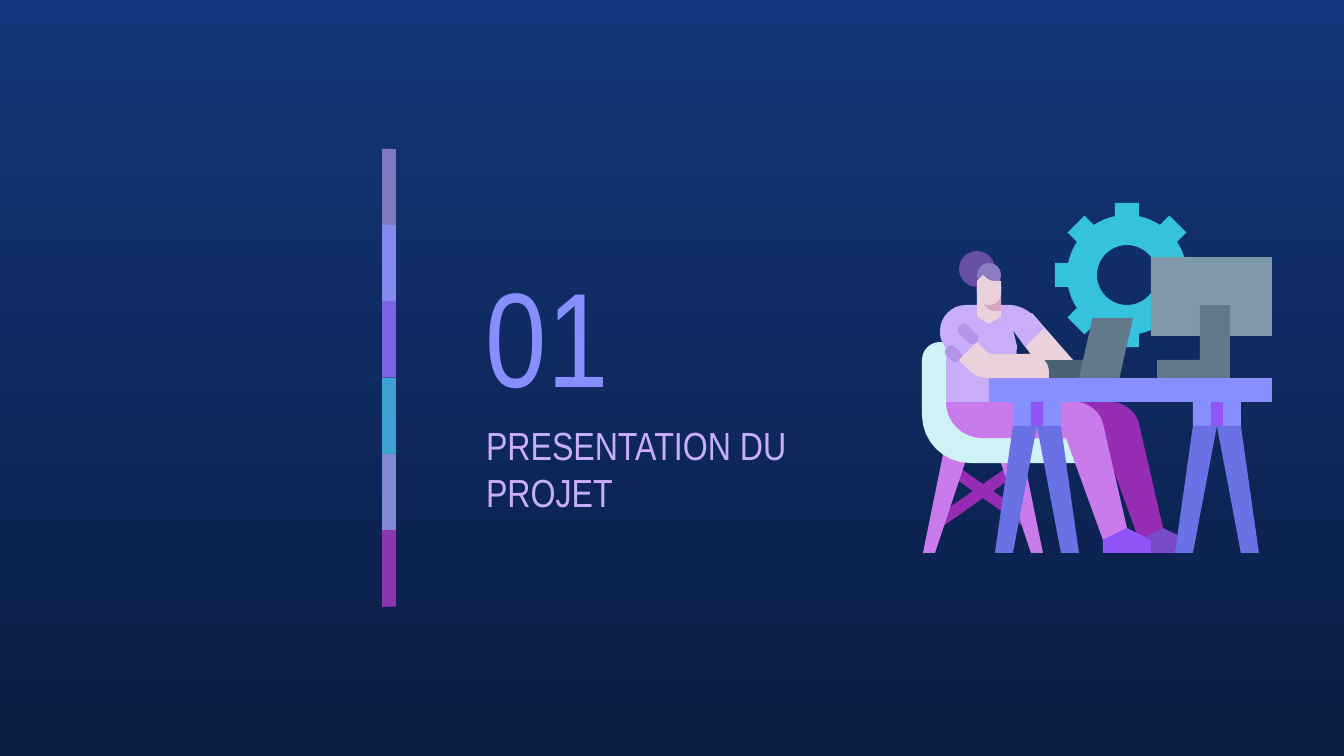
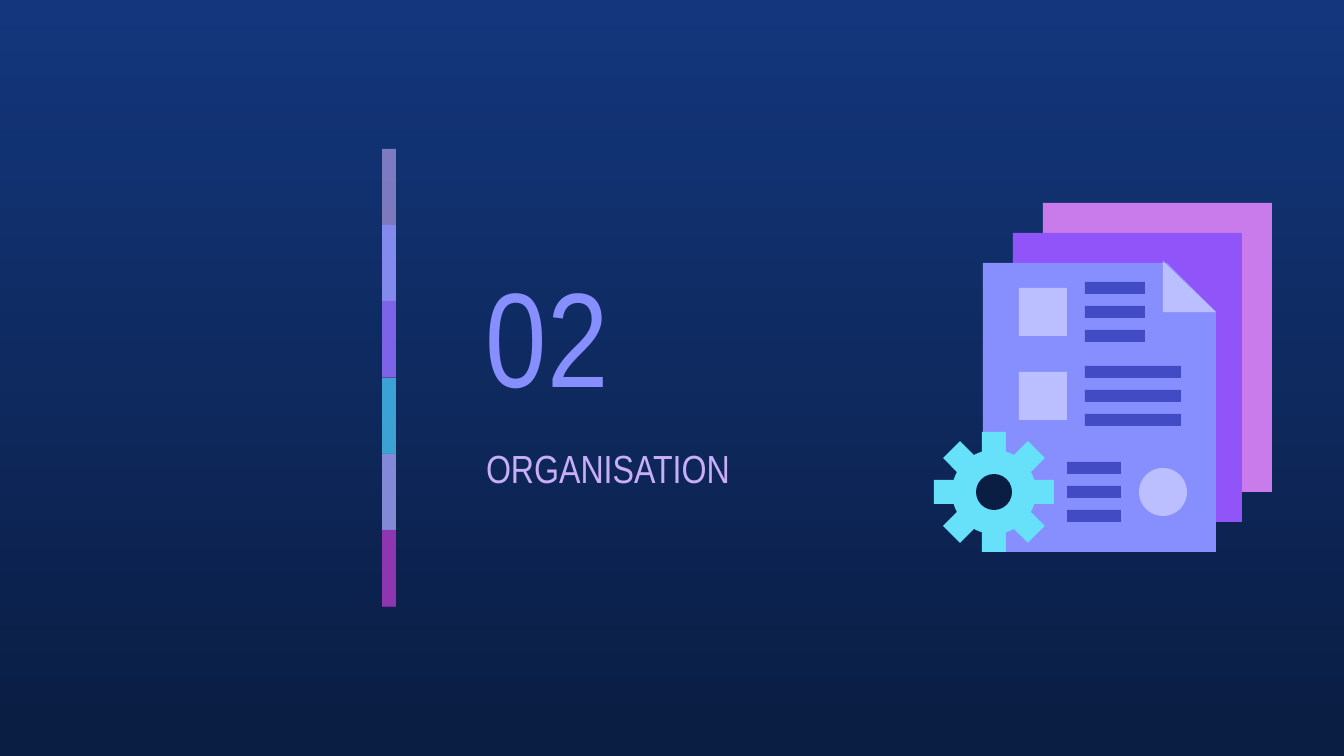
"""Build two section slides with a shared colour bar, number and title style."""
import math
import pptx
import pptx.util
import pptx.dml.color
import pptx.enum.shapes
import pptx.enum.text
import pptx.oxml.ns
import lxml.etree

UNIT = 12192000 / 1344
COLORS = {
    "top": "13367C", "night": "0A1D42", "lilac": "C8AEF8", "blue": "878FFF",
    "violet": "9154F8", "teal": "35C2DF", "pink": "CA7BEB", "plum": "972CB4",
    "aqua": "67E0F9", "pale": "BBBFFF", "ink": "424BC4", "indigo": "6971E5",
    "mint": "CEF3F5", "skin": "EAD1DC", "shade": "D5A6BD", "sleeve": "B394EB",
    "bun": "674EA7", "hair": "8E7CC3", "shoe": "794BC8", "steel": "62798C",
    "slate": "4B6275", "screen": "8098AB",
}
RGB = {name: pptx.dml.color.RGBColor.from_string(code) for name, code in COLORS.items()}
PRESET = pptx.enum.shapes.MSO_SHAPE
KINDS = {
    "rect": PRESET.RECTANGLE, "oval": PRESET.OVAL, "pill": PRESET.ROUNDED_RECTANGLE,
    "slant": PRESET.PARALLELOGRAM, "point": PRESET.FLOWCHART_OFFPAGE_CONNECTOR,
    "snip": PRESET.SNIP_1_RECTANGLE, "fold": PRESET.RIGHT_TRIANGLE,
}
ROUND = {"pill": 0.5, "snip": 0.21}
FRAME = {"word_wrap": True, "vertical_anchor": pptx.enum.text.MSO_ANCHOR.MIDDLE}
for side in ("left", "right", "top", "bottom"):
    FRAME["margin_" + side] = round(13 * UNIT)
BARS = {"lilac": 59, "blue": 74, "violet": 53, "teal": 76, "pink": 56, "plum": 74}


def trace(corners):
    """Return the points of an outline; a third value rounds a corner."""
    points = []
    for i, (x, y, *bend) in enumerate(corners):
        if not bend:
            points.append((x, y))
            continue
        ends = []
        for near in (corners[i - 1], corners[(i + 1) % len(corners)]):
            part = bend[0] / math.dist((x, y), near[:2])
            ends.append(((near[0] - x) * part, (near[1] - y) * part))
        (ax, ay), (bx, by) = ends
        for step in range(9):
            t = step / 8
            a = (1 - t) ** 3 + 1.35 * t * (1 - t) ** 2
            b = t ** 3 + 1.35 * t ** 2 * (1 - t)
            points.append((x + a * ax + b * bx, y + a * ay + b * by))
    return points


def gear(x, y, outer, ring, hole):
    """Return the outlines of an eight-tooth gear and of its hole."""
    base, tip = math.asin(12 / ring), math.atan(12 / outer)
    far = math.hypot(outer, 12)
    gap = math.pi / 4 - 2 * base
    rim = []
    for tooth in range(8):
        mid = tooth * math.pi / 4
        rim += [(ring, mid - base), (far, mid - tip), (far, mid + tip)]
        rim += [(ring, mid + base + gap * k / 4) for k in range(4)]
    outlines = [rim]
    if hole:
        outlines.append([(hole, -k * math.pi / 24) for k in range(48)])
    return [[(x + r * math.cos(a), y + r * math.sin(a)) for r, a in line]
            for line in outlines]


desk = [("teal", "gear", (1127, 275, 72, 60, 30)),
        ("slate", "rect", (1043, 360, 42, 18))]
for side in (1, -1):
    desk.append(("plum", "form", [(983 + side * x, y) for x, y in
                                  ((26, 466), (33, 475), (-44, 529), (-50, 519))]))
legs = [("pink", 983, 445, (12, 38, 60, 48))]
legs += [("indigo", x, 426, (0, 24, 42, 24)) for x in (1037, 1217)]
stands = [(name, "form", [(x + side * out, level)
                          for out, level in zip(outs, (y, y, 553, 553))])
          for name, x, y, outs in legs for side in (-1, 1)]
desk += stands[:2]
desk.append(("mint", "form", [(922, 342, 18), (922, 463, 48), (1085, 463),
                              (1085, 432), (953, 432, 30), (953, 342)]))
for leg, shoe, x in (("plum", "shoe", 982), ("pink", "violet", 946)):
    desk += [
        (leg, "form", [(x, 402), (x, 438, 36), (x + 120, 438), (x + 157, 540),
                       (x + 181, 528), (x + 152, 402, 22)]),
        (shoe, "form", [(x + 181, 528), (x + 157, 540), (x + 157, 553),
                        (x + 205, 553), (x + 205, 540)]),
    ]
desk += [
    ("skin", "form", [(1013, 330), (1035, 360), (1073, 360), (1032, 313)]),
    ("lilac", "form", [(940, 305, 26), (940, 341, 8), (946, 348), (946, 402),
                       (1013, 402), (1017, 346), (1013, 330), (1025, 347),
                       (1044, 328), (1024, 305, 14)]),
    ("blue", "rect", (989, 378, 283, 24)),
    ("sleeve", "pill", (944, 348, 19, 12)),
    ("sleeve", "pill", (956, 328, 24, 12)),
    ("skin", "point", (977, 287, 24, 37)),
    ("skin", "form", [(977, 342), (959, 360), (977, 378, 10), (1049, 378),
                      (1049, 354, 18), (989, 354)]),
    ("steel", "slant", (1079, 318, 54, 60)),
    ("screen", "rect", (1151, 257, 121, 79)),
    ("steel", "rect", (1200, 305, 30, 73)),
    ("steel", "rect", (1157, 360, 73, 18)),
    ("shade", "form", [(983, 287), (983, 311, 12), (1001, 311), (1001, 287)]),
    ("bun", "oval", (959, 251, 36, 36)),
    ("hair", "oval", (977, 263, 24, 24)),
    ("skin", "form", [(983, 275), (977, 281), (977, 305, 12), (1001, 305, 12),
                      (1001, 281), (990, 281, 4)]),
]
for x in (1013, 1193):
    desk += [("blue", "rect", (x, 402, 48, 24)),
             ("violet", "rect", (x + 18, 402, 12, 24))]
desk += stands[2:]

files = [(name, kind, (1043 - 30 * i, 203 + 30 * i, wide, 289))
         for i, (name, kind, wide) in enumerate((
             ("pink", "rect", 229), ("violet", "rect", 229), ("blue", "snip", 233)))]
files += [("pale", "rect", (1019, y, 48, 48)) for y in (288, 372)]
files += [
    ("aqua", "gear", (994, 492, 60, 42, 0)),
    ("night", "oval", (976, 474, 36, 36)),
    ("pale", "oval", (1139, 468, 48, 48)),
    ("pale", "fold", (1163, 261, 53, 51)),
]
for x, y, wide in ((1085, 282, 60), (1085, 366, 96), (1067, 462, 54)):
    files += [("ink", "rect", (x, y + 24 * row, wide, 12)) for row in range(3)]

deck = pptx.Presentation()
deck.slide_width, deck.slide_height = round(1344 * UNIT), round(756 * UNIT)
back = deck.slide_master.background.fill
back.gradient()
back.gradient_angle = 270
for stop, name in zip(back.gradient_stops, ("top", "night")):
    stop.color.rgb = RGB[name]

bars = []
for i, (name, alpha) in enumerate(BARS.items()):
    y = 149 + round(76.2 * i)
    bars.append((name, "rect", (382, y, 14, min(152, 607 - y)), alpha))

for number, title, art in (("01", "PRESENTATION DU PROJET", desk),
                           ("02", "ORGANISATION", files)):
    slide = deck.slides.add_slide(deck.slide_layouts[6])
    for name, kind, data, *alpha in bars + art:
        if kind in KINDS:
            shape = slide.shapes.add_shape(KINDS[kind], *[round(v * UNIT) for v in data])
            if kind in ROUND:
                shape.adjustments[0] = ROUND[kind]
            if kind == "pill":
                shape.rotation = 45
        else:
            form = None
            for line in gear(*data) if kind == "gear" else [trace(data)]:
                points = [(x * UNIT, y * UNIT) for x, y in line]
                if form is None:
                    form = slide.shapes.build_freeform(*points[0], scale=1.0)
                else:
                    form.move_to(*points[0])
                form.add_line_segments(points[1:], close=True)
            shape = form.convert_to_shape()
        shape.shadow.inherit = False
        shape.line.fill.background()
        shape.fill.solid()
        shape.fill.fore_color.rgb = RGB[name]
        if alpha:
            tint = shape.element.spPr.find(".//" + pptx.oxml.ns.qn("a:srgbClr"))
            lxml.etree.SubElement(tint, pptx.oxml.ns.qn("a:alpha"), val=str(alpha[0] * 1000))

    for text, place, size, name in ((number, (473, 243, 235, 181), 96, "blue"),
                                    (title, (473, 423, 385, 90), 28, "lilac")):
        frame = slide.shapes.add_textbox(*[round(v * UNIT) for v in place]).text_frame
        for key, value in FRAME.items():
            setattr(frame, key, value)
        run = frame.paragraphs[0].add_run()
        run.text = text
        for key, value in {"name": "Arial Narrow", "size": pptx.util.Pt(size)}.items():
            setattr(run.font, key, value)
        run.font.color.rgb = RGB[name]

deck.save("out.pptx")
